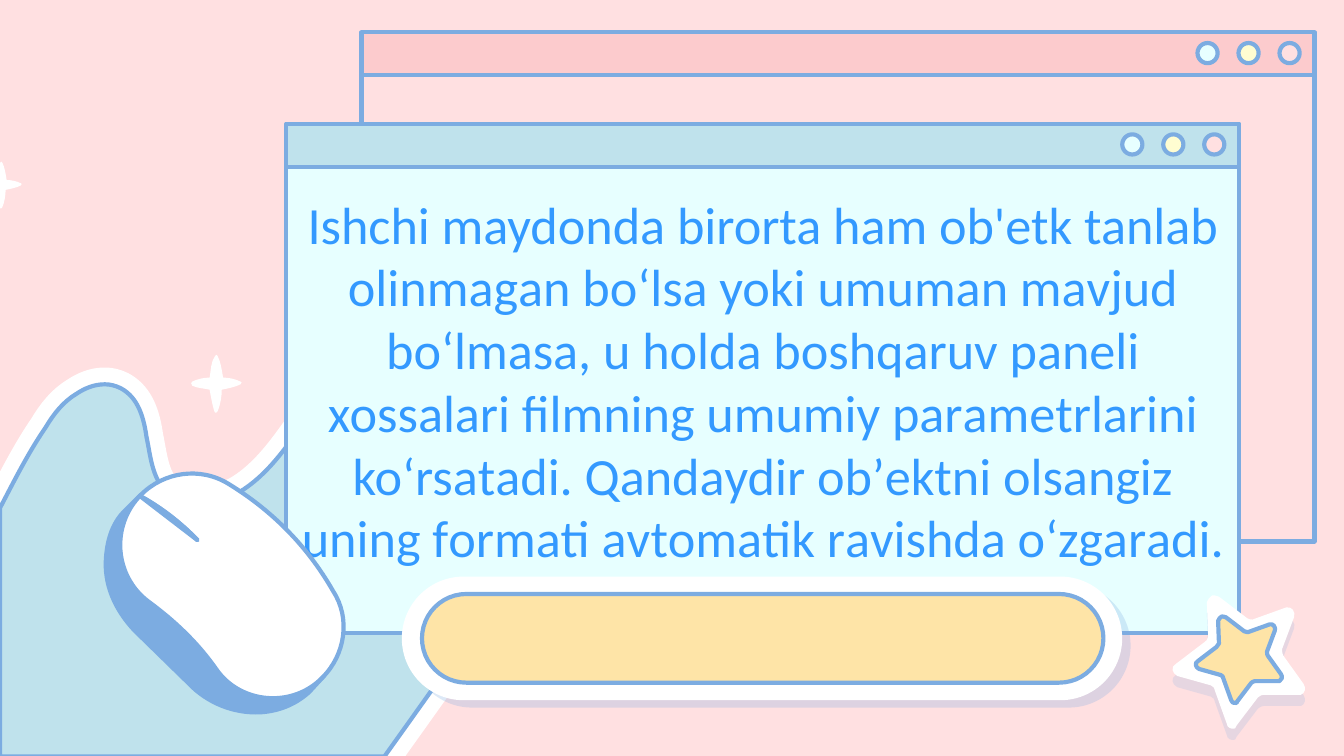
"""Build a pastel desktop slide with two windows, a computer mouse, a pill button and stars."""
from math import cos, radians, sin

from lxml import etree
from pptx import Presentation
from pptx.dml.color import RGBColor
from pptx.enum.shapes import MSO_SHAPE
from pptx.enum.text import MSO_ANCHOR, PP_ALIGN
from pptx.oxml.ns import qn
from pptx.util import Inches, Pt

RECTANGLE, BAR = MSO_SHAPE.RECTANGLE, MSO_SHAPE.ROUND_2_SAME_RECTANGLE
CIRCLE, PILL = MSO_SHAPE.OVAL, MSO_SHAPE.ROUNDED_RECTANGLE
CENTER, BOTTOM = PP_ALIGN.CENTER, MSO_ANCHOR.BOTTOM

PINK = RGBColor(0xFF, 0xE0, 0xE1)
ROSE = RGBColor(0xFC, 0xCB, 0xCD)
BLUE = RGBColor(0x7C, 0xAC, 0xE1)
TEAL = RGBColor(0xBF, 0xE2, 0xEC)
ICE = RGBColor(0xE7, 0xFF, 0xFF)
AQUA = RGBColor(0xBD, 0xFF, 0xFF)
CREAM = RGBColor(0xFF, 0xFD, 0xD1)
YELLOW = RGBColor(0xFE, 0xE4, 0xA7)
WHITE = RGBColor(0xFF, 0xFF, 0xFF)
INK = RGBColor(0x33, 0x99, 0xFF)

MESSAGE = (
    "Ishchi maydonda birorta ham ob'etk tanlab olinmаgаn bo‘lsа yoki umumаn mаvjud "
    "bo‘lmаsа, u hоldа bоshqаruv pаnеli хоssаlаri filmning umumiy pаrаmеtrlаrini "
    "ko‘rsаtаdi. Qаndаydir оb’еktni оlsаngiz uning fоrmаti аvtоmаtik rаvishdа o‘zgаrаdi."
)
WINDOWS = [(2.69, 0.24, ROSE, PINK), (2.13, 0.92, TEAL, ICE)]
DOT_FILLS = [ICE, CREAM, PINK]

WAVE = [
    (3.33, 2.47), (3.04, 2.47, 2.75, 2.6, 2.54, 2.8), (2.28, 3.05, 2.13, 3.42, 1.83, 3.63),
    (1.73, 3.7, 1.6, 3.75, 1.48, 3.75), (1.39, 3.75, 1.3, 3.72, 1.23, 3.65),
    (1.13, 3.55, 1.12, 3.39, 1.09, 3.25), (1.07, 3.11, 1.03, 2.96, 0.9, 2.89),
    (0.86, 2.87, 0.82, 2.86, 0.78, 2.86), (0.7, 2.86, 0.63, 2.89, 0.57, 2.93),
    (0.47, 2.99, 0.4, 3.08, 0.34, 3.18), (0.21, 3.37, 0.11, 3.57, 0, 3.78),
    (0, 5.63), (2.86, 5.63), (3.21, 5.14, 3.56, 4.65, 3.9, 4.15),
    (4.06, 3.92, 4.22, 3.68, 4.25, 3.41), (4.28, 3.02, 4, 2.64, 3.62, 2.52),
    (3.53, 2.49, 3.43, 2.47, 3.33, 2.47),
]
SPARKLE = [
    (1.61, 2.64), (1.6, 2.64, 1.6, 2.64, 1.6, 2.65), (1.57, 2.69, 1.57, 2.75, 1.56, 2.81),
    (1.52, 2.81, 1.47, 2.82, 1.43, 2.84), (1.42, 2.84, 1.42, 2.86, 1.43, 2.87),
    (1.47, 2.89, 1.52, 2.89, 1.56, 2.9), (1.57, 2.96, 1.59, 3.06, 1.6, 3.07),
    (1.6, 3.07, 1.61, 3.07, 1.61, 3.07), (1.61, 3.07, 1.62, 3.06, 1.62, 3.06),
    (1.64, 3.01, 1.65, 2.95, 1.65, 2.9), (1.7, 2.89, 1.75, 2.88, 1.79, 2.86),
    (1.8, 2.85, 1.8, 2.84, 1.79, 2.84), (1.75, 2.82, 1.7, 2.81, 1.66, 2.81),
    (1.65, 2.75, 1.64, 2.69, 1.62, 2.65), (1.62, 2.64, 1.61, 2.64, 1.61, 2.64),
]
MOUSE_SIDE = [
    (1.05, 3.68), (2.41, 5.03), (2.3, 5.15), (2.2, 5.24, 2.08, 5.29, 1.94, 5.3),
    (1.74, 5.31, 1.54, 5.23, 1.4, 5.08), (1, 4.69), (0.86, 4.54, 0.77, 4.35, 0.79, 4.14),
    (0.8, 4.01, 0.84, 3.88, 0.94, 3.79),
]
MOUSE_TOP = [
    (1.05, 3.68), (1.22, 3.51, 1.49, 3.47, 1.7, 3.6), (2.01, 3.79, 2.28, 4.05, 2.48, 4.4),
    (2.61, 4.6, 2.57, 4.87, 2.4, 5.04), (2.18, 5.27, 1.79, 5.24, 1.61, 4.98),
    (1.47, 4.78, 1.3, 4.62, 1.11, 4.48), (0.85, 4.29, 0.82, 3.91, 1.05, 3.68),
]
MOUSE_CREASE = [(1.04, 3.69), (1.04, 3.69, 1.26, 3.8, 1.47, 4.02)]
STAR = [
    (9.02, 4.43), (9.03, 4.43, 9.05, 4.43, 9.07, 4.44), (9.28, 4.6),
    (9.29, 4.61, 9.31, 4.61, 9.32, 4.61), (9.57, 4.52), (9.61, 4.51, 9.64, 4.55, 9.63, 4.59),
    (9.54, 4.83), (9.54, 4.85, 9.54, 4.87, 9.55, 4.88), (9.7, 5.09),
    (9.72, 5.12, 9.71, 5.16, 9.68, 5.17), (9.68, 5.17, 9.67, 5.17, 9.66, 5.17), (9.4, 5.17),
    (9.39, 5.17, 9.37, 5.18, 9.36, 5.19), (9.2, 5.4), (9.2, 5.41, 9.19, 5.41, 9.19, 5.42),
    (9.16, 5.43, 9.13, 5.41, 9.13, 5.39), (9.04, 5.14), (9.04, 5.12, 9.03, 5.11, 9.01, 5.1),
    (8.76, 5.03), (8.72, 5.01, 8.71, 4.96, 8.75, 4.94), (8.96, 4.78),
    (8.98, 4.77, 8.98, 4.76, 8.99, 4.74), (8.98, 4.48), (8.99, 4.46, 9, 4.44, 9.02, 4.43),
]


def paint(shape, fill=None, line=None, width=2.25):
    shape.shadow.inherit = False
    if fill is None:
        shape.fill.background()
    else:
        shape.fill.solid()
        shape.fill.fore_color.rgb = fill
    if line is None:
        shape.line.fill.background()
    else:
        shape.line.color.rgb = line
        shape.line.width = Pt(width)
    return shape


def add_preset(parent, kind, left, top, width, height, fill, line=BLUE):
    shape = parent.shapes.add_shape(kind, *map(Inches, (left, top, width, height)))
    return paint(shape, fill, line)


def cast_shadow(shape, alpha, direction):
    effects = shape._element.spPr.find(qn("a:effectLst"))
    shadow = etree.SubElement(effects, qn("a:outerShdw"), dist=str(Pt(6)),
                              dir=str(direction * 60000), algn="bl", rotWithShape="0")
    color = etree.SubElement(shadow, qn("a:srgbClr"), val=str(BLUE))
    etree.SubElement(color, qn("a:alpha"), val=str(alpha * 1000))


def rotate(x, y, degrees):
    angle = radians(degrees)
    return x * cos(angle) - y * sin(angle), x * sin(angle) + y * cos(angle)


def resize(outline, scale, center, target):
    return [tuple(target[i % 2] + scale * (value - center[i % 2])
                  for i, value in enumerate(segment)) for segment in outline]


def add_outline(parent, outline, fill=None, line=None, width=2.25, turn=0, close=True):
    points = [rotate(*segment[i:i + 2], -turn)
              for segment in outline for i in range(0, len(segment), 2)]
    points = [(Inches(x), Inches(y)) for x, y in points]
    builder = parent.shapes.build_freeform(*points[0], scale=1.0)
    builder.add_line_segments(points[1:], close=close)
    shape = builder.convert_to_shape()

    track = next(shape._element.iter(qn("a:path")))
    steps = iter(track.findall(qn("a:lnTo")))
    for segment in outline[1:]:
        group = [next(steps) for _ in range(len(segment) // 2)]
        if len(group) == 3:
            curve = etree.Element(qn("a:cubicBezTo"))
            group[0].addprevious(curve)
            for step in group:
                curve.append(step[0])
                track.remove(step)

    x, y = rotate(shape.left + shape.width / 2, shape.top + shape.height / 2, turn)
    shape.left, shape.top = round(x - shape.width / 2), round(y - shape.height / 2)
    shape.rotation = turn
    return paint(shape, fill, line, width)


def add_window(page, left, top, bar_fill, body_fill):
    window = page.shapes.add_group_shape()
    add_preset(window, RECTANGLE, left, top + 0.32, 7.09, 3.47, body_fill)
    bar = add_preset(window, BAR, left, top, 7.09, 0.32, bar_fill)
    bar.adjustments[0] = 0
    for column, fill in enumerate(DOT_FILLS):
        dot_left = left + 6.22 + 0.61 * column / 2
        add_preset(window, CIRCLE, dot_left, top + 0.08, 0.15, 0.15, fill)


def add_message(page):
    box = page.shapes.add_textbox(*map(Inches, (2.07, 1.5, 7.21, 2.83)))
    frame = box.text_frame
    frame.word_wrap = True
    frame.vertical_anchor = BOTTOM
    frame.margin_left = frame.margin_right = Inches(0.1)
    frame.margin_top = frame.margin_bottom = Inches(0.1)
    frame.text = MESSAGE
    para = frame.paragraphs[0]
    para.alignment = CENTER
    font = para.runs[0].font
    font.name, font.size, font.color.rgb = "Calibri", Pt(28), INK


def main():
    deck = Presentation()
    deck.slide_width = Inches(10)
    deck.slide_height = deck.slide_width * 9 // 16
    page = deck.slides.add_slide(deck.slide_layouts[6])
    page.background.fill.solid()
    page.background.fill.fore_color.rgb = PINK

    wave = page.shapes.add_group_shape()
    halo = add_outline(wave, WAVE, TEAL, WHITE, 18)
    halo.fill.gradient()
    halo.fill.gradient_angle = 315
    for stop, color in zip(halo.fill.gradient_stops, (PINK, TEAL)):
        stop.color.rgb = color
    add_outline(wave, WAVE, TEAL, BLUE)
    add_outline(page, resize(SPARKLE, 0.81, (1.61, 2.86), (0.01, 1.38)), WHITE)

    for window in WINDOWS:
        add_window(page, *window)
    add_message(page)

    button = page.shapes.add_group_shape()
    rim = add_preset(button, PILL, 2.99, 4.29, 5.36, 0.92, WHITE, None)
    face = add_preset(button, PILL, 3.14, 4.42, 5.07, 0.66, YELLOW)
    rim.adjustments[0] = face.adjustments[0] = 0.5
    cast_shadow(rim, 25, 41)

    mouse = page.shapes.add_group_shape()
    for outline, fill in [(MOUSE_SIDE, BLUE), (MOUSE_TOP, WHITE), (MOUSE_CREASE, AQUA)]:
        add_outline(mouse, outline, fill, BLUE, turn=315)
    add_outline(mouse, MOUSE_CREASE, line=BLUE, turn=315, close=False)

    star, middle = page.shapes.add_group_shape(), (9.22, 4.88)
    cast_shadow(add_outline(star, STAR, WHITE, turn=338.2), 19, 90)
    add_outline(star, resize(STAR, 0.65, middle, middle), YELLOW, BLUE, turn=338.2)
    add_outline(page, SPARKLE, WHITE)
    deck.save("out.pptx")


if __name__ == "__main__":
    main()
